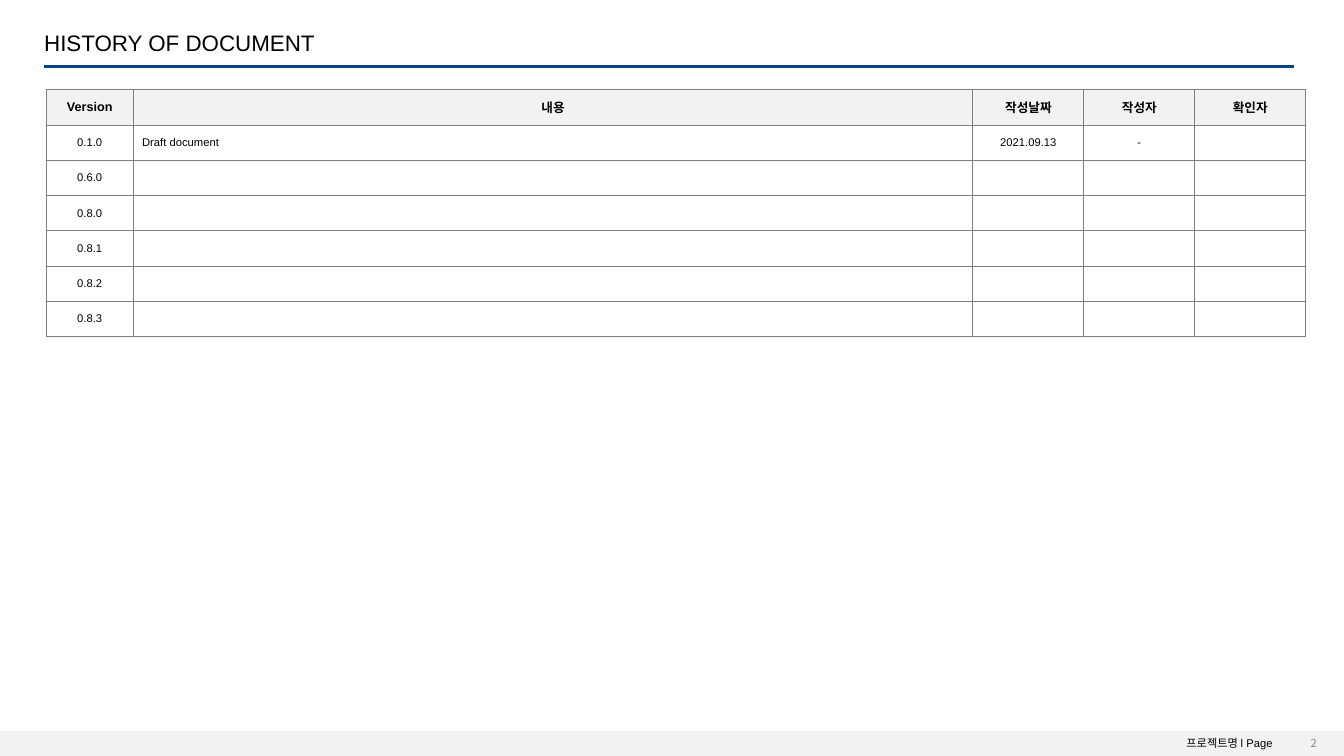
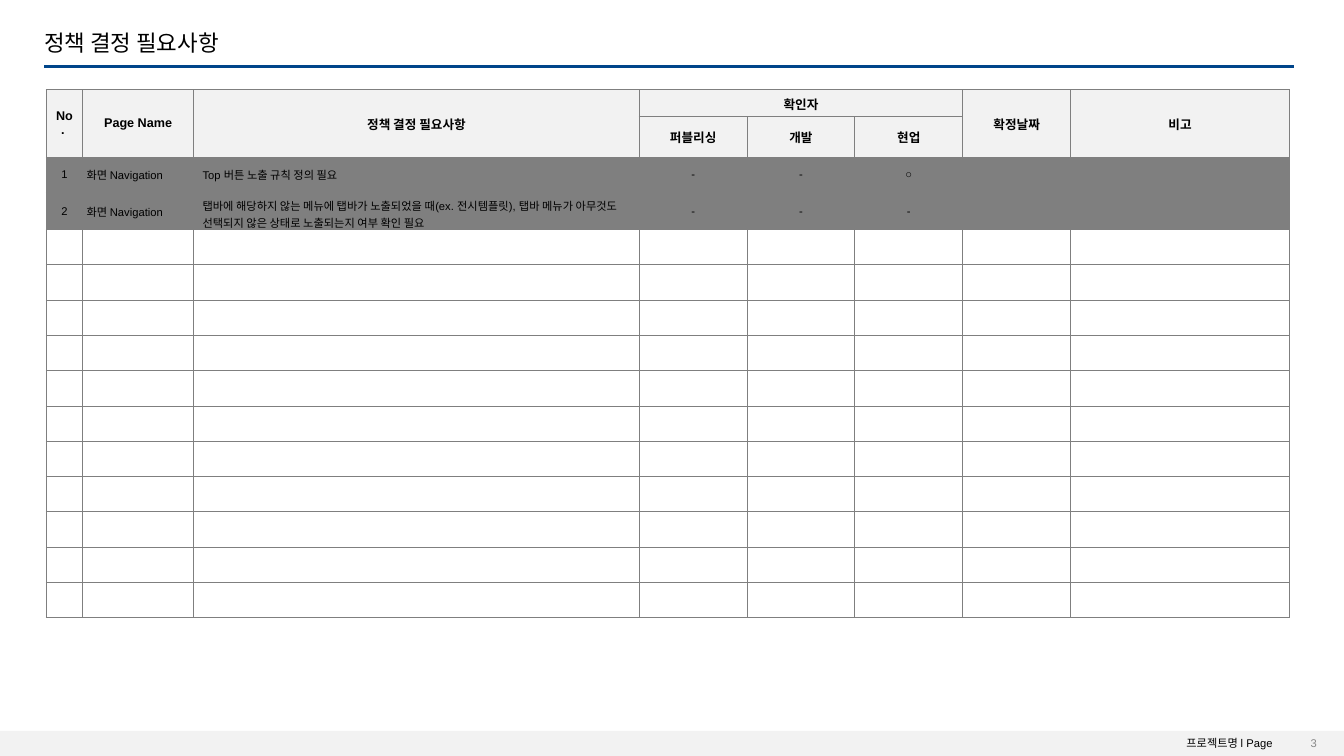
from lxml import etree
from pptx import Presentation
from pptx.dml.color import RGBColor
from pptx.enum.shapes import MSO_CONNECTOR, MSO_SHAPE
from pptx.enum.text import MSO_ANCHOR, PP_ALIGN
from pptx.oxml.ns import qn
from pptx.util import Inches, Pt

LEFT, CENTER, RIGHT = PP_ALIGN.LEFT, PP_ALIGN.CENTER, PP_ALIGN.RIGHT
TOP, MIDDLE = MSO_ANCHOR.TOP, MSO_ANCHOR.MIDDLE
LATIN, KOREAN = "Arial", "Noto Sans CJK KR"
COLORS = {"text": "000000", "rule": "00458A", "band": "F2F2F2", "grid": "7F7F7F",
          "done": "7F7F7F", "page": "888888", "white": "FFFFFF"}

# Content
FOOTER = "프로젝트명 l Page"
TABLE_LEFT, TABLE_TOP, ROW_HEIGHT = 0.46, 0.89, 0.35
SLIDES = [
    {
        "title": "HISTORY OF DOCUMENT", "page": "2", "page_font": KOREAN,
        "cols": [0.86, 8.33, 1.1, 1.1, 1.1],
        "left_cols": [1], "tight_cols": [], "merges": [],
        "header": [["Version", "내용", "작성날짜", "작성자", "확인자"]],
        "header_heights": [ROW_HEIGHT],
        "body": [["0.1.0", "Draft document", "2021.09.13", "-"],
                 ["0.6.0"], ["0.8.0"], ["0.8.1"], ["0.8.2"], ["0.8.3"]],
        "body_fill": "white", "empty_rows": 0,
    },
    {
        "title": "정책 결정 필요사항", "page": "3", "page_font": LATIN,
        "cols": [0.36, 1.1, 4.42, 1.07, 1.07, 1.07, 1.07, 2.17],
        "left_cols": [1, 2], "tight_cols": [1],
        # first row, first column, last row, last column
        "merges": [(0, 3, 0, 5)] + [(0, c, 1, c) for c in (0, 1, 2, 6, 7)],
        "header": [["No. ", "Page Name", "정책 결정 필요사항", "확인자", "", "",
                    "확정날짜", "비고"],
                   ["", "", "", "퍼블리싱", "개발", "현업"]],
        "header_heights": [0.27, 0.24],
        "body": [["1", "화면 Navigation", "Top 버튼 노출 규칙 정의 필요", "-", "-", "○"],
                 ["2", "화면 Navigation",
                  "탭바에 해당하지 않는 메뉴에 탭바가 노출되었을 때(ex. 전시템플릿), "
                  "탭바 메뉴가 아무것도 선택되지 않은 상태로 노출되는지 여부 확인 필요",
                  "-", "-", "-"]],
        "body_fill": "done", "empty_rows": 11,
    },
]


def rgb(name):
    return RGBColor.from_string(COLORS[name])


def write(p, text, size, color="text", font=LATIN, bold=False, align=LEFT):
    p.alignment = align
    if not text:
        # Keeps an empty cell from growing to the default text size
        etree.SubElement(p._p, qn("a:endParaRPr"), sz=str(size * 100))
        return
    r = p.add_run()
    r.text = text
    for name, value in {"size": Pt(size), "name": font, "bold": bold}.items():
        setattr(r.font, name, value)
    r.font.color.rgb = rgb(color)
    etree.SubElement(r._r.get_or_add_rPr(), qn("a:ea"), typeface=KOREAN)


def add_text(s, box, text, size, anchor=MIDDLE, **style):
    tf = s.shapes.add_textbox(*map(Inches, box)).text_frame
    tf.word_wrap = True
    tf.vertical_anchor = anchor
    p = tf.paragraphs[0]
    write(p, text, size, **style)
    return p


def add_frame(s, title, page, page_font):
    # Footer band
    band = s.shapes.add_shape(MSO_SHAPE.RECTANGLE, 0, Inches(7.25),
                              Inches(13.33), Inches(0.25))
    band.shadow.inherit = False
    band.fill.solid()
    band.fill.fore_color.rgb = rgb("band")
    band.line.fill.background()
    add_text(s, (10, 7.26, 2.72, 0.24), FOOTER, 8, TOP, align=RIGHT)
    add_text(s, (12.46, 7.3, 0.7, 0.15), page, 8,
             color="page", font=page_font, align=RIGHT)
    # Title and rule
    add_text(s, (0.34, 0.28, 12.37, 0.31), title, 16).line_spacing = 0.9
    rule = s.shapes.add_connector(MSO_CONNECTOR.STRAIGHT, Inches(0.44), Inches(0.66),
                                  Inches(12.83), Inches(0.66))
    rule.line.color.rgb = rgb("rule")
    rule.line.width = Pt(2.25)
    etree.SubElement(rule._element.spPr, qn("a:effectLst"))


def add_borders(cell):
    tcPr = cell._tc.get_or_add_tcPr()
    for side in ("lnL", "lnR", "lnT", "lnB"):
        ln = etree.SubElement(tcPr, qn("a:" + side), w=str(Pt(0.75)))
        fill = etree.SubElement(ln, qn("a:solidFill"))
        etree.SubElement(fill, qn("a:srgbClr"), val=COLORS["grid"])


def add_grid(s, data):
    header, body, cols = data["header"], data["body"], data["cols"]
    rows = header + body + [[]] * data["empty_rows"]
    heights = data["header_heights"] + [ROW_HEIGHT] * (len(rows) - len(header))
    table = s.shapes.add_table(len(rows), len(cols), Inches(TABLE_LEFT), Inches(TABLE_TOP),
                               Inches(sum(cols)), Inches(sum(heights))).table
    table.first_row = table.horz_banding = False
    for column, width in zip(table.columns, cols):
        column.width = Inches(width)
    for row, height in zip(table.rows, heights):
        row.height = Inches(height)

    for i, texts in enumerate(rows):
        is_header = i < len(header)
        fill = "band" if is_header else data["body_fill"] if texts else "white"
        for j in range(len(cols)):
            cell = table.cell(i, j)
            cell.vertical_anchor = MIDDLE
            tight = not is_header and j in data["tight_cols"]
            cell.margin_left = cell.margin_right = Inches(0.04 if tight else 0.09)
            cell.margin_top = cell.margin_bottom = Inches(0.04 if tight else 0.05)
            add_borders(cell)
            cell.fill.solid()
            cell.fill.fore_color.rgb = rgb(fill)
            left = not is_header and j in data["left_cols"]
            write(cell.text_frame.paragraphs[0], texts[j] if j < len(texts) else "",
                  9 if is_header else 8, bold=is_header, align=LEFT if left else CENTER)
    for top, first, bottom, last in data["merges"]:
        table.cell(top, first).merge(table.cell(bottom, last))


def main():
    prs = Presentation()
    prs.slide_width, prs.slide_height = Inches(13.33), Inches(7.5)
    for data in SLIDES:
        s = prs.slides.add_slide(prs.slide_layouts[6])
        add_frame(s, data["title"], data["page"], data["page_font"])
        add_grid(s, data)
    prs.save("out.pptx")


if __name__ == "__main__":
    main()
